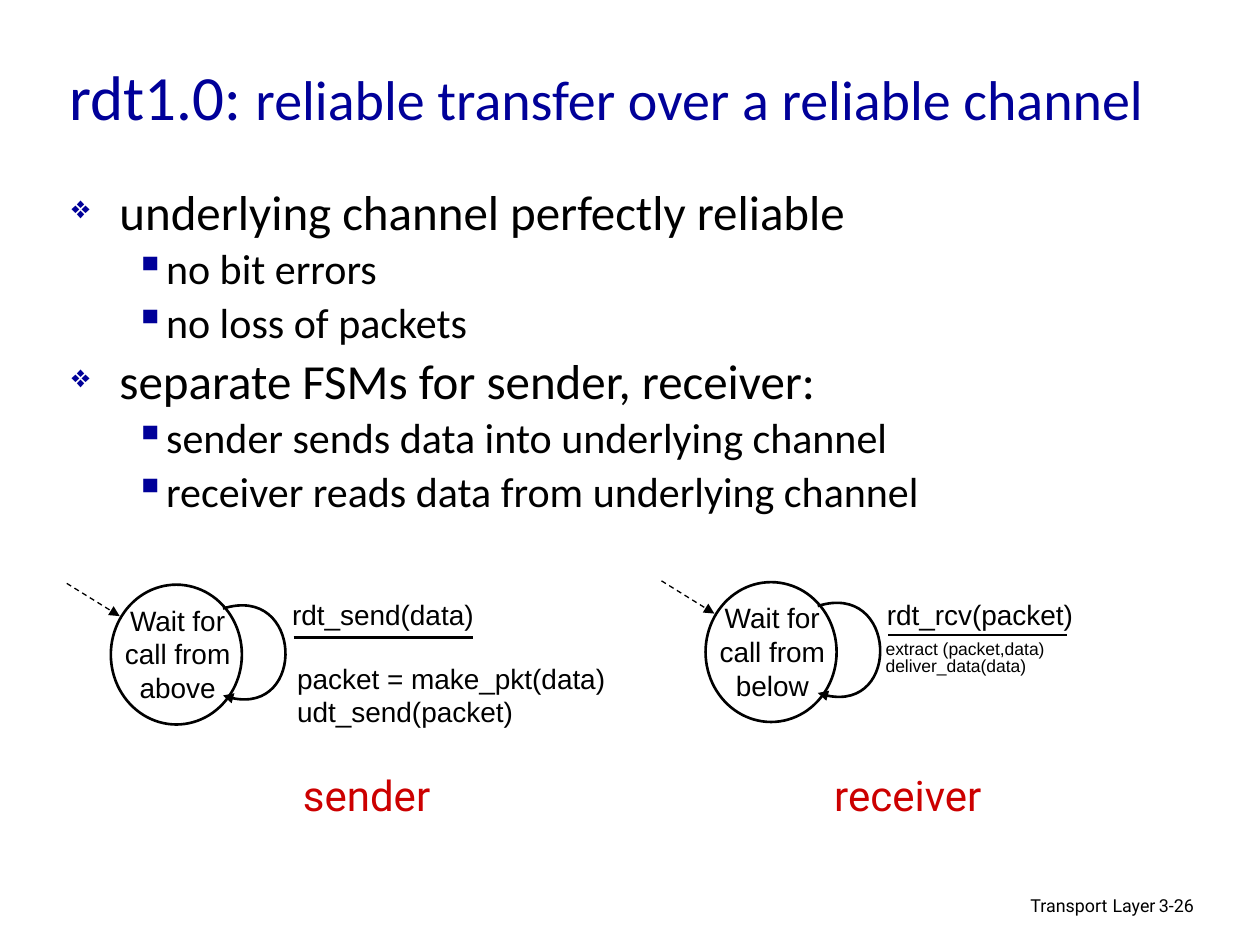
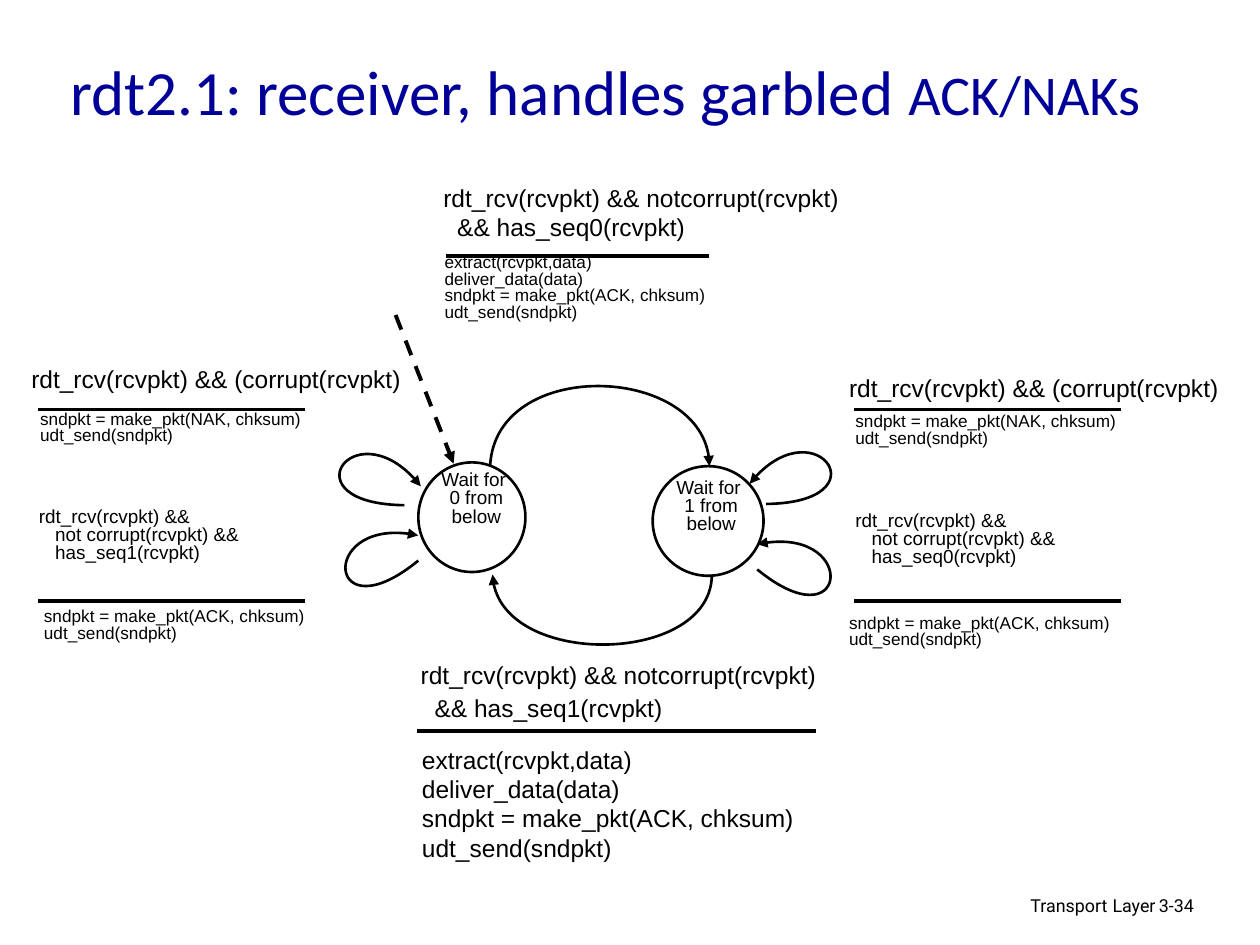
from dataclasses import dataclass

from lxml import etree
from pptx import Presentation
from pptx.dml.color import RGBColor
from pptx.enum.dml import MSO_LINE
from pptx.enum.shapes import MSO_CONNECTOR, MSO_SHAPE
from pptx.enum.text import MSO_ANCHOR, MSO_AUTO_SIZE, PP_ALIGN
from pptx.oxml.ns import qn
from pptx.util import Inches, Pt

LEFT, CENTER, RIGHT = PP_ALIGN.LEFT, PP_ALIGN.CENTER, PP_ALIGN.RIGHT
MIDDLE, NO_FIT = MSO_ANCHOR.MIDDLE, MSO_AUTO_SIZE.NONE
DASH, STRAIGHT, OVAL = MSO_LINE.DASH, MSO_CONNECTOR.STRAIGHT, MSO_SHAPE.OVAL
TITLE_ONLY = 5


@dataclass(frozen=True)
class Theme:
    # Colours
    ink: str = "000000"
    paper: str = "FFFFFF"
    blue: str = "000099"
    red: str = "CC0000"
    # Fonts
    heading: str = "Calibri"
    diagram: str = "Arial"
    label: str = "Roboto"
    # Type sizes
    title: float = 36
    title_small: float = 32
    bullet: float = 28
    sub_bullet: float = 24
    role: float = 24
    event: float = 16
    transition: float = 14
    guard: float = 10.8
    extract: float = 10
    action: float = 9.8
    footer: float = 10.2
    footer_gap: float = 11.9
    # Line widths
    hair: float = 0.75
    thin: float = 1.5
    thick: float = 2.25
    # Line spacing
    tight: float = 0.8


T = Theme()


def rgb(color):
    return RGBColor.from_string(color)


def inches(values):
    return [Inches(v) for v in values]


def add_text(tf, text, size=T.event, font=T.diagram, color=T.ink, align=LEFT,
             spacing=None, before=0, margin=0, indent=0):
    """Add one paragraph; text is a string or a list of (text, size) runs."""
    p = tf.paragraphs[0] if not tf.paragraphs[0].runs else tf.add_paragraph()
    p.alignment, p.space_before = align, Pt(before)
    if spacing:
        p.line_spacing = spacing
    pPr = p._p.get_or_add_pPr()
    pPr.set("marL", str(Inches(margin)))
    pPr.set("indent", str(Inches(indent)))
    for part, part_size in [(text, size)] if isinstance(text, str) else text:
        r = p.add_run()
        r.text = part
        r.font.size, r.font.name = Pt(part_size), font
        r.font.color.rgb = rgb(color)
    return p


class Deck:
    def __init__(self, theme):
        self.t = theme
        self.prs = Presentation()
        self.prs.slide_width, self.prs.slide_height = Inches(10), Inches(7.5)
        self.s = None

    def slide(self, title, box, number):
        t = self.t
        self.s = self.prs.slides.add_slide(self.prs.slide_layouts[TITLE_ONLY])
        self.s.background.fill.solid()
        self.s.background.fill.fore_color.rgb = rgb(t.paper)
        sp = self.s.shapes.title
        sp.left, sp.top, sp.width, sp.height = inches(box)
        tf = sp.text_frame
        tf.word_wrap, tf.auto_size, tf.vertical_anchor = True, NO_FIT, MIDDLE
        add_text(tf, title, font=t.heading, color=t.blue)
        # Footer
        chapter = [("Transport", t.footer), (" ", t.footer_gap), ("Layer", t.footer)]
        self.text((6.1, 7.05, 3.17, 0.31), [chapter], font=t.label, align=RIGHT, spacing=0.9)
        self.text((9.1, 7.07, 0.74, 0.3), [number], size=t.footer, font=t.label, spacing=0.9)

    def frame(self, box, wrap=True):
        tf = self.s.shapes.add_textbox(*inches(box)).text_frame
        tf.word_wrap, tf.auto_size = wrap, NO_FIT
        return tf

    def text(self, box, lines, wrap=True, hang=0, **fmt):
        """Text box; hang is the left margin of every line after the first."""
        tf = self.frame(box, wrap)
        for i, line in enumerate(lines):
            add_text(tf, line, margin=hang if i else 0, **fmt)

    def bullets(self, box, items):
        t = self.t
        styles = [
            ("❖", 65, dict(size=t.bullet, before=7, margin=0.38, indent=-0.38)),
            ("▪", 100, dict(size=t.sub_bullet, before=6, margin=0.75, indent=-0.25)),
        ]
        tf = self.frame(box)
        for level, text in items:
            mark, percent, fmt = styles[level]
            p = add_text(tf, text, font=t.heading, spacing=0.85, **fmt)
            p.level = level
            pPr = p._p.get_or_add_pPr()
            clr = etree.SubElement(pPr, qn("a:buClr"))
            etree.SubElement(clr, qn("a:srgbClr"), val=t.blue)
            etree.SubElement(pPr, qn("a:buSzPct"), val=str(percent * 1000))
            etree.SubElement(pPr, qn("a:buChar"), char=mark)

    def stroke(self, sp, width, dash=None, arrow=False):
        sp.line.color.rgb, sp.line.width = rgb(self.t.ink), Pt(width)
        if dash:
            sp.line.dash_style = dash
        if arrow:
            ln = sp._element.spPr.find(qn("a:ln"))
            etree.SubElement(ln, qn("a:tailEnd"), type="triangle")

    def line(self, start, end, width, **style):
        sp = self.s.shapes.add_connector(STRAIGHT, *inches((*start, *end)))
        self.stroke(sp, width, **style)
        etree.SubElement(sp._element.spPr, qn("a:effectLst"))

    def rule(self, x, y, length, width):
        self.line((x, y), (x + length, y), width)

    def circle(self, box):
        sp = self.s.shapes.add_shape(OVAL, *inches(box))
        sp.shadow.inherit = False
        sp.fill.solid()
        sp.fill.fore_color.rgb = rgb(self.t.paper)
        self.stroke(sp, self.t.thin)

    def curve(self, start, *controls_and_end):
        """Cubic curve with an arrowhead at its end."""
        fb = self.s.shapes.build_freeform(*inches(start))
        fb.add_line_segments([inches(pt) for pt in controls_and_end], close=False)
        sp = fb.convert_to_shape()
        sp.shadow.inherit = False
        sp.fill.background()
        # Join the three segments into one Bezier segment
        path = sp._element.spPr.find(".//" + qn("a:path"))
        bezier = etree.SubElement(path, qn("a:cubicBezTo"))
        for seg in path.findall(qn("a:lnTo")):
            bezier.append(seg[0])
            path.remove(seg)
        self.stroke(sp, self.t.thin, arrow=True)


def single_state_machine(d, dx, dy, state, event):
    """State circle with its start arrow, self loop and event line."""
    def at(x, y):
        return x + dx, y + dy

    d.circle((*at(0.88, 4.64), 1.04, 1.11))
    d.text((*at(0.81, 4.74), 1.2, 1), [state], align=CENTER)
    d.curve(at(1.77, 4.83), at(2.4, 4.63), at(2.44, 5.75), at(1.77, 5.52))
    d.line(at(0.53, 4.63), at(0.95, 4.89), T.hair, dash=DASH, arrow=True)
    d.rule(*at(2.33, 5.06), 1.42, T.thin)
    d.text((2.22 + dx, 4.69, 2.47, 0.47), [event])


def reliable_channel(d):
    d.slide([("rdt1.0: ", T.title), ("reliable transfer over a reliable channel", T.title_small)],
            (0.45, 0.21, 8.75, 1.1), "3-26")
    d.bullets((0.47, 1.46, 8.64, 3.3), [
        (0, "underlying channel perfectly reliable"),
        (1, "no bit errors"),
        (1, "no loss of packets"),
        (0, "separate FSMs for sender, receiver:"),
        (1, "sender sends data into underlying channel"),
        (1, "receiver reads data from underlying channel"),
    ])
    # Sender and receiver machines
    single_state_machine(d, 0, 0, "Wait for call from above", "rdt_send(data)")
    d.text((2.26, 5.2, 2.93, 0.65), ["packet = make_pkt(data)", "udt_send(packet)"])
    single_state_machine(d, 4.72, -0.02, "Wait for call from below", "rdt_rcv(packet)")
    d.text((6.93, 5.05, 2.72, 0.47), ["extract (packet,data)", "deliver_data(data)"],
           size=T.extract, spacing=T.tight)
    # Roles
    for x, width, role in [(2.27, 1.28, "sender"), (6.48, 1.45, "receiver")]:
        d.text((x, 6.06, width, 0.5), [role], wrap=False, size=T.role, font=T.label,
               color=T.red, align=CENTER)


def garbled_acks(d):
    d.slide([("rdt2.1: receiver, handles garbled ", T.title), ("ACK/NAKs", T.title_small)],
            (0.46, 0.2, 9.1, 1.03), "3-34")
    send = "udt_send(sndpkt)"
    reply = {kind: [f"sndpkt = make_pkt({kind}, chksum)", send] for kind in ("ACK", "NAK")}
    deliver = ["extract(rcvpkt,data)", "deliver_data(data)", *reply["ACK"]]
    received = "rdt_rcv(rcvpkt) && notcorrupt(rcvpkt)"
    small = dict(size=T.action, spacing=T.tight)

    # States
    for circle, label, seq in [((3.32, 3.67, 0.85, 0.87), (3.34, 3.7, 0.88, 0.67), 0),
                               ((5.18, 3.7, 0.88, 0.87), (5.21, 3.76, 0.87, 0.67), 1)]:
        d.circle(circle)
        d.text(label, ["Wait for ", f"{seq} from below"], size=T.guard, align=CENTER,
               spacing=T.tight)
    d.line((3.14, 2.5), (3.6, 3.68), T.thick, dash=DASH, arrow=True)

    # Transitions between the states, then the self loops
    for points in [
        ((3.89, 3.7), (3.93, 2.84), (5.63, 2.89), (5.63, 3.7)),
        ((5.65, 4.56), (5.65, 5.27), (3.94, 5.31), (3.91, 4.56)),
        ((6.08, 4), (7.01, 3.99), (6.46, 3.2), (5.95, 3.84)),
        ((6.01, 4.52), (6.73, 5.11), (6.82, 4.15), (6.01, 4.32)),
        ((3.32, 4.45), (2.6, 5.04), (2.52, 4.08), (3.32, 4.25)),
        ((3.21, 4.01), (2.28, 4), (2.83, 3.21), (3.34, 3.86)),
    ]:
        d.curve(*points)

    # Upper and lower transition labels
    d.text((3.42, 1.4, 4.35, 0.63), [received, "&& has_seq0(rcvpkt)"], hang=0.11,
           size=T.transition)
    d.rule(3.54, 2.03, 2.09, T.thick)
    d.text((3.43, 1.98, 3.8, 0.77), deliver, **small)
    d.text((3.24, 5.19, 3.92, 0.62),
           [received, [("&& has_seq1(rcvpkt)", T.transition), (" ", T.event)]],
           hang=0.11, size=T.transition)
    d.rule(3.31, 5.8, 3.17, T.thick)
    d.text((3.25, 5.86, 4.21, 1.09), deliver, size=T.transition)

    # Self loop labels on the left and right
    for seq, corrupt, nak, guard, ack, rule_x in [
        (1, (0.15, 2.84), (0.22, 3.22), (0.21, 3.99), (0.25, 4.79), 0.3),
        (0, (6.64, 2.91), (6.69, 3.24), (6.69, 4.02), (6.64, 4.84), 6.78),
    ]:
        d.text((*corrupt, 3.14, 0.67), ["rdt_rcv(rcvpkt) && (corrupt(rcvpkt)"],
               size=T.transition)
        d.text((*nak, 3.31, 0.45), reply["NAK"], **small)
        d.text((*guard, 2.87, 0.67),
               ["rdt_rcv(rcvpkt) &&", "not corrupt(rcvpkt) &&", f"has_seq{seq}(rcvpkt)"],
               hang=0.13, size=T.guard, spacing=T.tight)
        d.text((*ack, 3.22, 0.45), reply["ACK"], **small)
        for y in (3.25, 4.77):
            d.rule(rule_x, y, 2.12, T.thick)


def main():
    d = Deck(T)
    reliable_channel(d)
    garbled_acks(d)
    d.prs.save("out.pptx")


if __name__ == "__main__":
    main()
